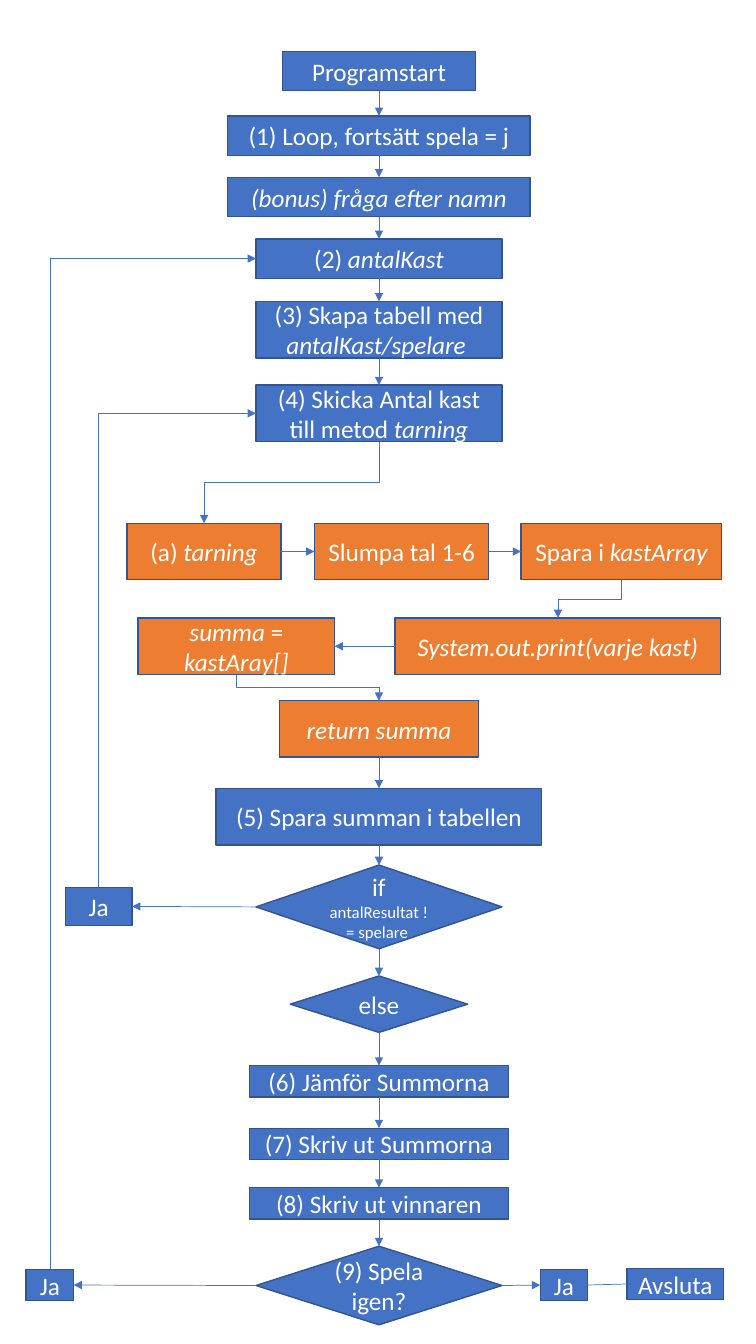
from lxml import etree
from pptx import Presentation
from pptx.dml.color import RGBColor
from pptx.enum.shapes import MSO_CONNECTOR, MSO_SHAPE
from pptx.enum.text import MSO_ANCHOR, PP_ALIGN
from pptx.oxml.ns import qn
from pptx.util import Inches, Pt

BLUE, ORANGE, OUTLINE, WHITE = "4472C4", "ED7D31", "325491", "FFFFFF"
BOX, DECISION = MSO_SHAPE.RECTANGLE, MSO_SHAPE.FLOWCHART_DECISION
TOP, LEFT, BOTTOM, RIGHT = range(4)
CENTER = 3.76

# name: (text with *italics*, top, width, height, form, fill)
MAIN_COLUMN = {
    "start": ("Programstart", 0.51, 1.92, 0.39, BOX, BLUE),
    "loop": ("(1) Loop, fortsätt spela = j", 1.15, 3, 0.39, BOX, BLUE),
    "name": ("*(bonus) fråga efter namn*", 1.76, 3, 0.39, BOX, BLUE),
    "throws": ("(2) *antalKast*", 2.37, 2.44, 0.39, BOX, BLUE),
    "table": ("(3) Skapa tabell med *antalKast/spelare *", 2.99, 2.44, 0.56, BOX, BLUE),
    "send": ("(4) Skicka Antal kast till metod *tarning*", 3.82, 2.44, 0.56, BOX, BLUE),
    "return": ("*return summa*", 6.95, 1.98, 0.56, BOX, ORANGE),
    "save": ("(5) Spara summan i tabellen", 7.82, 3.23, 0.56, BOX, BLUE),
    "if": ("if\nantalResultat != spelare ", 8.58, 2.44, 0.83, DECISION, BLUE),
    "else": ("else", 9.68, 1.76, 0.56, DECISION, BLUE),
    "compare": ("(6) Jämför Summorna", 10.57, 2.57, 0.31, BOX, BLUE),
    "sums": ("(7) Skriv ut Summorna", 11.19, 2.57, 0.31, BOX, BLUE),
    "winner": ("(8) Skriv ut vinnaren", 11.78, 2.57, 0.31, BOX, BLUE),
    "again": ("(9) Spela igen?", 12.36, 2.44, 0.78, DECISION, BLUE),
}
# name: (text, left, top, width, height, fill)
SIDE_BOXES = {
    "method": ("(a) *tarning*", 1.26, 5.19, 1.53, 0.56, ORANGE),
    "random": ("Slumpa tal 1-6", 3.12, 5.19, 1.73, 0.56, ORANGE),
    "array": ("Spara i *kastArray*", 5.17, 5.19, 1.99, 0.56, ORANGE),
    "sum": ("*summa* = *kastAray[]*", 1.37, 6.13, 1.95, 0.56, ORANGE),
    "print": ("*System.out.print(varje kast)*", 3.92, 6.13, 3.23, 0.56, ORANGE),
    "more": ("Ja", 0.65, 8.8, 0.66, 0.38, BLUE),
    "replay": ("Ja", 0.26, 12.59, 0.47, 0.31, BLUE),
    "stop": ("Ja", 5.36, 12.59, 0.47, 0.31, BLUE),
    "quit": ("Avsluta", 6.22, 12.58, 0.96, 0.31, BLUE),
}
SIDE_ARROWS = [
    ("method", RIGHT, "random", LEFT), ("random", RIGHT, "array", LEFT),
    ("print", LEFT, "sum", RIGHT), ("if", LEFT, "more", RIGHT),
    ("again", LEFT, "replay", RIGHT), ("again", RIGHT, "stop", LEFT),
]
BENT_ARROWS = [
    ("send", BOTTOM, "method", TOP), ("array", BOTTOM, "print", TOP),
    ("sum", BOTTOM, "return", TOP), ("more", TOP, "send", LEFT),
    ("replay", TOP, "throws", LEFT),
]


def rgb(value):
    """Turn a hex string into a colour."""
    return RGBColor.from_string(value)


def add_step(text, left, top, width, height, form, fill):
    """Draw one step of the flow with its label."""
    step = slide.shapes.add_shape(form, *map(Inches, (left, top, width, height)))
    step.shadow.inherit = False
    step.fill.solid()
    step.fill.fore_color.rgb = rgb(fill)
    step.line.color.rgb = rgb(OUTLINE)
    step.line.width = Pt(1)
    frame = step.text_frame
    frame.word_wrap = True
    frame.vertical_anchor = MSO_ANCHOR.MIDDLE
    for row, line in enumerate(text.split("\n")):
        paragraph = frame.add_paragraph() if row else frame.paragraphs[0]
        paragraph.alignment = PP_ALIGN.CENTER
        for index, part in enumerate(line.split("*")):
            if part:
                run = paragraph.add_run()
                run.text = part
                run.font.name = "Calibri"
                run.font.size = Pt(12 if row else 18)
                run.font.italic = index % 2 == 1
                run.font.color.rgb = rgb(WHITE)
    return step


def add_link(source, source_side, target, target_side, bent=False, arrow=True):
    """Glue a connector between two steps."""
    kind = MSO_CONNECTOR.ELBOW if bent else MSO_CONNECTOR.STRAIGHT
    link = slide.shapes.add_connector(kind, 0, 0, 0, 0)
    link.begin_connect(steps[source], source_side)
    link.end_connect(steps[target], target_side)
    link.line.color.rgb = rgb(BLUE)
    link.line.width = Pt(0.5)
    if arrow:
        etree.SubElement(link.line._get_or_add_ln(), qn("a:tailEnd"), type="triangle")
    etree.SubElement(link._element.spPr, qn("a:effectLst"))
    if bent:
        turn_vertical(link, target_side == LEFT)


def turn_vertical(link, single_corner):
    """Rotate an elbow so that it leaves its first step vertically."""
    dx, dy = link.end_x - link.begin_x, link.end_y - link.begin_y
    middle_x, middle_y = link.begin_x + dx // 2, link.begin_y + dy // 2
    link.width, link.height = abs(dy), abs(dx)
    link.left, link.top = middle_x - abs(dy) // 2, middle_y - abs(dx) // 2
    properties = link._element.spPr
    frame = properties.find(qn("a:xfrm"))
    frame.set("rot", str(90 * 60000))
    frame.set("flipH", str(int(dy < 0)))
    frame.set("flipV", str(int(dx > 0)))
    if single_corner:
        properties.find(qn("a:prstGeom")).set("prst", "bentConnector2")


deck = Presentation()
deck.slide_width, deck.slide_height = Inches(7.5), Inches(13.33)
slide = deck.slides.add_slide(deck.slide_layouts[6])

steps = {}
for name, (text, top, width, height, form, fill) in MAIN_COLUMN.items():
    steps[name] = add_step(text, CENTER - width / 2, top, width, height, form, fill)
for name, (text, left, top, width, height, fill) in SIDE_BOXES.items():
    steps[name] = add_step(text, left, top, width, height, BOX, fill)

column = list(MAIN_COLUMN)
for upper, lower in zip(column, column[1:]):
    if upper != "send":
        add_link(upper, BOTTOM, lower, TOP)
for ends in SIDE_ARROWS:
    add_link(*ends)
for ends in BENT_ARROWS:
    add_link(*ends, bent=True)
add_link("stop", RIGHT, "quit", LEFT, arrow=False)

deck.save("out.pptx")
